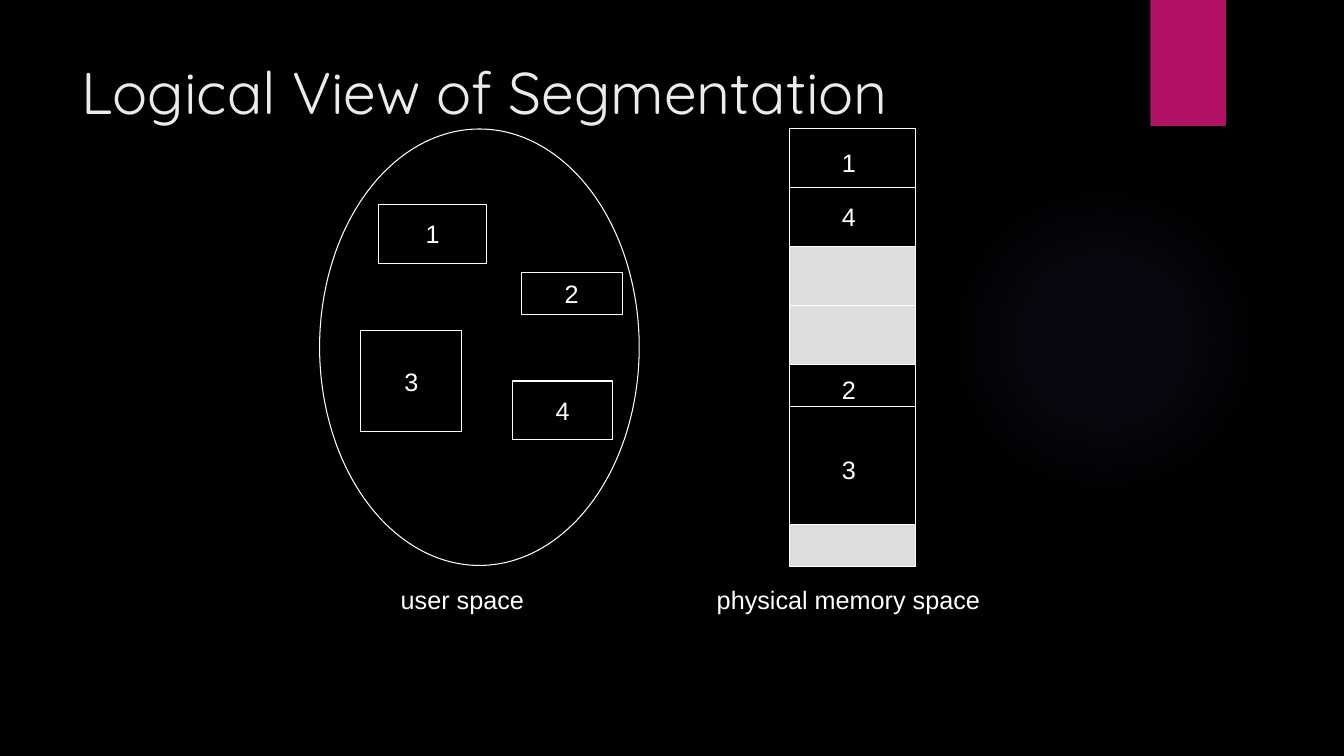
"""Build the slide on the logical view of segmentation."""
from lxml import etree
from pptx import Presentation
from pptx import util as u
from pptx.dml.color import RGBColor
from pptx.enum import shapes, text
from pptx.oxml import parse_xml
from pptx.oxml.ns import nsdecls, qn

TITLE = "Logical View of Segmentation"
BLACK, WHITE, FREE, ACCENT = "000000", "FFFFFF", "DDDDDD", "B31166"
TITLE_COLOR, GLOW_COLOR = "EBEBEB", "9B6BF2"
GLOW_STOPS = [(0, 7), (36, 6), (69, 0)]
SEGMENTS = [
    ("1", 3.75, 2.03, 1.08, 0.58),
    ("3", 3.58, 3.28, 1, 1),
    ("2", 5.17, 2.7, 1, 0.42),
    ("4", 5.08, 3.78, 1, 0.58),
]
MEMORY_LEFT, MEMORY_TOP, MEMORY_WIDTH = 7.83, 1.28, 1.25
MEMORY_BLOCKS = [(1.17, BLACK), (1.17, FREE), (1.58, BLACK), (0.42, FREE)]
DIVIDERS = [1.86, 3.03, 4.03]
LABELS = [
    ("1", 8.25, 1.41, 0.34),
    ("4", 8.25, 1.95, 0.34),
    ("2", 8.25, 3.66, 0.34),
    ("3", 8.25, 4.46, 0.34),
    ("user space", 3.84, 5.75, 1.49),
    ("physical memory space", 7.01, 5.75, 2.81),
]
LABEL_HEIGHT = 0.4
RECTANGLE, OVAL = shapes.MSO_SHAPE.RECTANGLE, shapes.MSO_SHAPE.OVAL


def color(value):
    return RGBColor.from_string(value)


def add_shape(page, kind, area, fill=None, line=None):
    shape = page.shapes.add_shape(kind, *map(u.Inches, area))
    shape.shadow.inherit = False
    if fill:
        shape.fill.solid()
        shape.fill.fore_color.rgb = color(fill)
    if line:
        shape.line.color.rgb = color(line)
        shape.line.width = u.Pt(0.75)
    else:
        shape.line.fill.background()
    return shape


def write(shape, words, font="Arial", size=18, ink=WHITE, centred=True):
    frame = shape.text_frame
    frame.word_wrap = not centred
    frame.vertical_anchor = text.MSO_ANCHOR.MIDDLE if centred else text.MSO_ANCHOR.TOP
    para = frame.paragraphs[0]
    para.text = words
    para.alignment = text.PP_ALIGN.CENTER if centred else text.PP_ALIGN.LEFT
    para.font.name = font
    para.font.size = u.Pt(size)
    para.font.color.rgb = color(ink)


def add_text(page, area, words, **style):
    write(page.shapes.add_textbox(*map(u.Inches, area)), words, **style)


def add_glow(page):
    glow = add_shape(page, OVAL, (9.41, 1.83, 3.08, 3.08))
    stops = "".join(
        f'<a:gs pos="{place * 1000}"><a:srgbClr val="{GLOW_COLOR}">'
        f'<a:alpha val="{alpha * 1000}"/></a:srgbClr></a:gs>'
        for place, alpha in GLOW_STOPS
    )
    gradient = parse_xml(
        f'<a:gradFill {nsdecls("a")} rotWithShape="1"><a:gsLst>{stops}</a:gsLst>'
        '<a:path path="circle"><a:fillToRect l="50000" t="50000" r="50000" b="50000"/>'
        "</a:path></a:gradFill>"
    )
    glow._element.spPr.find(qn("a:prstGeom")).addnext(gradient)


def add_accent(page):
    accent = add_shape(page, RECTANGLE, (11.41, 0, 0.75, 1.25), ACCENT)
    effects = accent._element.spPr.find(qn("a:effectLst"))
    effects.append(parse_xml(
        f'<a:outerShdw {nsdecls("a")} blurRad="{u.Pt(3)}" dist="{u.Pt(2)}" '
        'dir="5400000" rotWithShape="0"><a:srgbClr val="000000">'
        '<a:alpha val="45000"/></a:srgbClr></a:outerShdw>'
    ))


def add_divider(page, top):
    left, right, height = map(u.Inches, (MEMORY_LEFT, MEMORY_LEFT + MEMORY_WIDTH, top))
    line = page.shapes.add_connector(
        shapes.MSO_CONNECTOR.STRAIGHT, left, height, right, height)
    line.line.color.rgb = color(WHITE)
    line.line.width = u.Pt(0.75)
    etree.SubElement(line._element.spPr, qn("a:effectLst"))


def main():
    deck = Presentation()
    deck.slide_width, deck.slide_height = u.Inches(13.33), u.Inches(7.5)
    page = deck.slides.add_slide(deck.slide_layouts[6])
    page.background.fill.solid()
    page.background.fill.fore_color.rgb = color(BLACK)

    add_glow(page)
    add_accent(page)
    add_text(page, (0.71, 0.5, 10.29, 1.53), TITLE, font="Quicksand", size=42,
             ink=TITLE_COLOR, centred=False)

    add_shape(page, OVAL, (3.17, 1.28, 3.17, 4.33), BLACK, WHITE)
    for words, *area in SEGMENTS:
        write(add_shape(page, RECTANGLE, area, BLACK, WHITE), words)

    top = MEMORY_TOP
    for height, fill in MEMORY_BLOCKS:
        add_shape(page, RECTANGLE, (MEMORY_LEFT, top, MEMORY_WIDTH, height), fill, WHITE)
        top += height
    for divider in DIVIDERS:
        add_divider(page, divider)
    for words, left, top, width in LABELS:
        add_text(page, (left, top, width, LABEL_HEIGHT), words)

    deck.save("out.pptx")


if __name__ == "__main__":
    main()
